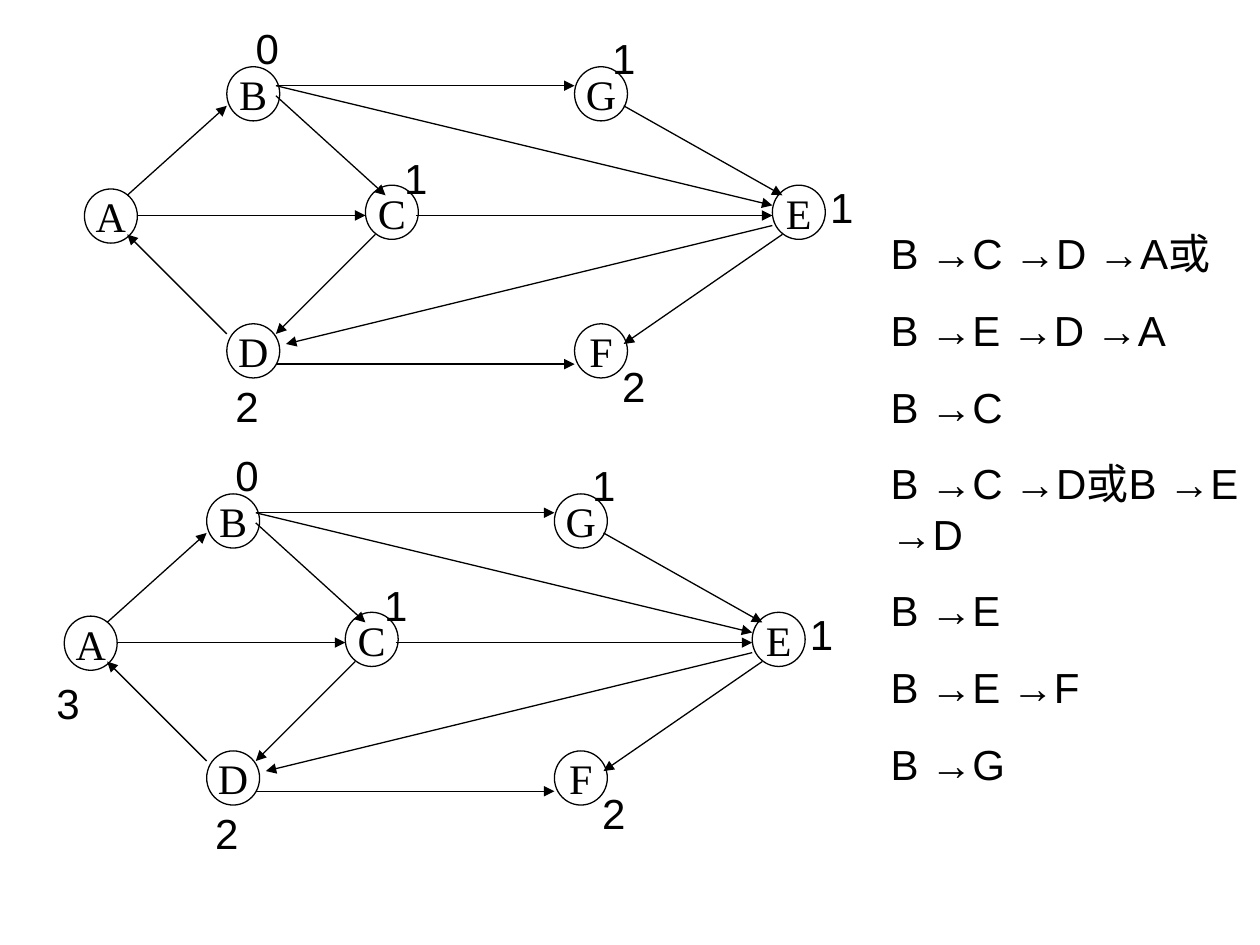
from lxml import etree
from pptx import Presentation
from pptx import util as u
from pptx.dml.color import RGBColor
from pptx.enum import shapes, text
from pptx.oxml.ns import qn

COLORS = {"ink": "000000"}
NODE_SIZE = (0.42, 0.43)

# Positions within the upper graph, in inches
NODES = {
    "A": (0.67, 1.5), "B": (1.8, 0.53), "D": (1.8, 2.57), "G": (4.56, 0.53),
    "F": (4.56, 2.57), "C": (2.9, 1.47), "E": (6.13, 1.47),
}
EDGES = {
    "AB": (1.01, 1.55, 1.8, 0.84),
    "DA": (1.8, 2.65, 1.01, 1.86),
    "AC": (1.09, 1.71, 2.9, 1.71),
    "BC": (2.19, 0.76, 3.06, 1.55),
    "CD": (2.98, 1.86, 2.19, 2.65),
    "CE": (3.3, 1.71, 6.13, 1.71),
    "BG": (2.19, 0.68, 4.56, 0.68),
    "GE": (4.95, 0.84, 6.21, 1.55),
    "BE": (2.19, 0.68, 6.13, 1.63),
    "DF": (2.19, 2.89, 4.56, 2.89),
    "ED": (6.13, 1.79, 2.27, 2.73),
    "EF": (6.21, 1.86, 4.95, 2.73),
}
# Distance from B: left, top, width, number
DISTANCES = {
    "C": (3.11, 1.16, 0.39, "1"), "G": (4.76, 0.21, 0.39, "1"),
    "B": (1.93, 0.13, 0.39, "0"), "E": (6.49, 1.39, 0.55, "1"),
    "F": (4.84, 2.81, 0.47, "2"), "D": (1.77, 2.97, 0.71, "2"),
}
DISTANCE_TO_A = {"A": (0.51, 1.94, 0.47, "3")}
ROUTES = [
    "B →C →D →A或", "B →E →D →A", "B →C", "B →C →D或B →E →D",
    "B →E", "B →E →F", "B →G",
]


class GraphSlide:
    def __init__(self, slide):
        self.slide = slide
        self.ink = RGBColor.from_string(COLORS["ink"])
        self.size = u.Pt(24)
        self.line_width = u.Pt(0.75)
        self.node_font, self.label_font = "Times New Roman", "Arial"

    def outline(self, line):
        line.color.rgb = self.ink
        line.width = self.line_width

    def style_text(self, frame, font_name):
        for paragraph in frame.paragraphs:
            for run in paragraph.runs:
                run.font.name = font_name
                run.font.size = self.size
                run.font.color.rgb = self.ink

    def node(self, group, name, left, top):
        circle = group.shapes.add_shape(
            shapes.MSO_SHAPE.OVAL, u.Inches(left), u.Inches(top),
            *map(u.Inches, NODE_SIZE))
        circle.shadow.inherit = False
        circle.fill.background()
        self.outline(circle.line)
        frame = circle.text_frame
        frame.text = name
        frame.word_wrap = False
        frame.vertical_anchor = text.MSO_ANCHOR.MIDDLE
        frame.paragraphs[0].alignment = text.PP_ALIGN.CENTER
        self.style_text(frame, self.node_font)

    def edge(self, group, *ends):
        arrow = group.shapes.add_connector(
            shapes.MSO_CONNECTOR.STRAIGHT, *map(u.Inches, ends))
        self.outline(arrow.line)
        etree.SubElement(arrow.line._get_or_add_ln(), qn("a:tailEnd"), type="triangle")
        etree.SubElement(arrow._element.spPr, qn("a:effectLst"))

    def label(self, left, top, width, height, lines):
        box = self.slide.shapes.add_textbox(*map(u.Inches, (left, top, width, height)))
        frame = box.text_frame
        frame.text = "\n".join(lines)
        frame.word_wrap = True
        frame.auto_size = text.MSO_AUTO_SIZE.SHAPE_TO_FIT_TEXT
        for paragraph in frame.paragraphs[1:]:
            paragraph.space_before = u.Pt(15)
        self.style_text(frame, self.label_font)

    def graph(self, dx, dy, distances):
        group = self.slide.shapes.add_group_shape()
        for name, (left, top) in NODES.items():
            self.node(group, name, left + dx, top + dy)
        for x1, y1, x2, y2 in EDGES.values():
            self.edge(group, x1 + dx, y1 + dy, x2 + dx, y2 + dy)
        for left, top, width, number in distances.values():
            self.label(left + dx, top + dy, width, 0.5, [number])


def main():
    deck = Presentation()
    deck.slide_width, deck.slide_height = u.Inches(10), u.Inches(7.5)
    page = GraphSlide(deck.slides.add_slide(deck.slide_layouts[6]))

    # The same graph twice; the lower one also gives the distance to A
    page.graph(0, 0, DISTANCES)
    page.graph(-0.16, 3.39, DISTANCES | DISTANCE_TO_A)

    # Shortest routes from B
    page.label(6.97, 1.76, 2.99, 4.55, ROUTES)

    deck.save("out.pptx")


if __name__ == "__main__":
    main()
